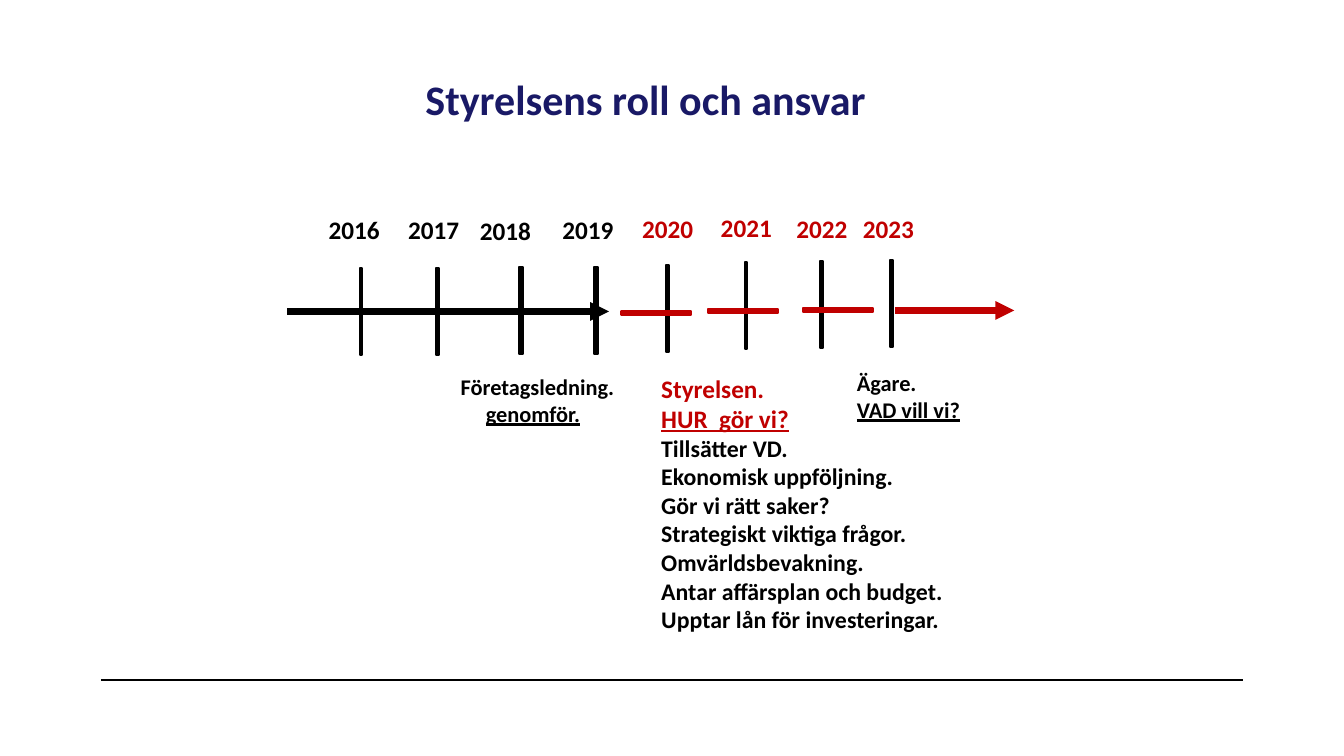
from dataclasses import dataclass

from lxml.etree import SubElement
from pptx import Presentation
from pptx.dml.color import RGBColor
from pptx.enum.shapes import MSO_CONNECTOR, MSO_SHAPE
from pptx.enum.text import MSO_ANCHOR, MSO_AUTO_SIZE, PP_ALIGN
from pptx.oxml.ns import qn
from pptx.util import Inches, Pt


@dataclass(frozen=True)
class Theme:
    font: str = "Calibri"
    navy: RGBColor = RGBColor(0x19, 0x19, 0x66)
    black: RGBColor = RGBColor(0, 0, 0)
    red: RGBColor = RGBColor(0xC0, 0, 0)
    title: float = 30
    heading: float = 18
    duty: float = 17
    role: float = 16
    thin: float = 1.5
    thick: float = 4.5


@dataclass(frozen=True)
class Box:
    left: float
    top: float
    width: float
    height: float

    def inside(self, left, top, width, height):
        return Box(self.left + left, self.top + top, width, height)

    def lengths(self):
        return [Inches(n) for n in (self.left, self.top, self.width, self.height)]


THEME = Theme()


def write(paragraph, text, size, color=THEME.black, underline=False, indent=0):
    if indent:
        paragraph._p.get_or_add_pPr().set("marL", str(Inches(indent)))
    paragraph.alignment = PP_ALIGN.LEFT
    run = paragraph.add_run()
    run.text = text
    font = run.font
    font.name, font.size, font.bold = THEME.font, Pt(size), True
    font.color.rgb = color
    font.underline = underline


def add_text(slide, box, lines):
    frame = slide.shapes.add_textbox(*box.lengths()).text_frame
    frame.word_wrap = True
    frame.auto_size = MSO_AUTO_SIZE.SHAPE_TO_FIT_TEXT
    for index, (text, style) in enumerate(lines):
        paragraph = frame.add_paragraph() if index else frame.paragraphs[0]
        write(paragraph, text, **style)


def add_rule(slide, left, top, width, color, weight, arrow=False):
    rule = slide.shapes.add_connector(
        MSO_CONNECTOR.STRAIGHT,
        Inches(left), Inches(top), Inches(left + width), Inches(top))
    rule.line.color.rgb = color
    rule.line.width = Pt(weight)
    if arrow:
        SubElement(rule.line._get_or_add_ln(), qn("a:tailEnd"), type="triangle")
    SubElement(rule._element.spPr, qn("a:effectLst"))


def add_bar(slide, box, color, rotation=0):
    bar = slide.shapes.add_shape(MSO_SHAPE.MATH_MINUS, *box.lengths())
    bar.shadow.inherit = False
    bar.rotation = rotation
    bar.fill.solid()
    bar.fill.fore_color.rgb = color
    bar.line.color.rgb = color
    bar.line.width = Pt(THEME.thin)


def add_title(slide, box):
    title = slide.shapes.title
    title.left, title.top, title.width, title.height = box.lengths()
    frame = title.text_frame
    frame.word_wrap = True
    frame.auto_size = MSO_AUTO_SIZE.NONE
    frame.vertical_anchor = MSO_ANCHOR.TOP
    write(frame.paragraphs[0], "Styrelsens roll och ansvar", THEME.title, THEME.navy)


def add_timeline(slide, box):
    years = [
        (2016, 0.31, 0.02, 0.73, 1.03, 0.11),
        (2017, 1.10, 0.02, 1.49, 1.03, 0.12),
        (2018, 1.81, 0.03, 2.32, 1.02, 0.16),
        (2019, 2.63, 0.02, 3.06, 1.02, 0.16),
        (2020, 3.42, 0.01, 3.77, 1.00, 0.11),
        (2021, 4.20, 0.00, 4.55, 0.97, 0.11),
        (2022, 4.95, 0.01, 5.30, 0.96, 0.11),
        (2023, 5.61, 0.01, 5.99, 0.95, 0.11),
    ]
    tick_length = 1.18
    add_rule(slide, box.left, box.top + 1.03, 3.19, THEME.black, THEME.thick, arrow=True)
    add_rule(slide, box.left + 6.03, box.top + 1.02, 1.18, THEME.red, THEME.thick, arrow=True)
    for year, label_left, label_top, tick_x, tick_y, thickness in years:
        tick = box.inside(tick_x - tick_length / 2, tick_y - thickness / 2,
                          tick_length, thickness)
        add_bar(slide, tick, THEME.black, rotation=270)
        color = THEME.black if year < 2020 else THEME.red
        add_text(slide, box.inside(label_left, label_top, 0.95, 0.4),
                 [(str(year), dict(size=THEME.heading, color=color))])
    for dash_left, dash_top in [(3.19, 0.96), (4.05, 0.94), (4.99, 0.93)]:
        add_bar(slide, box.inside(dash_left, dash_top, 0.94, 0.17), THEME.red)


def add_roles(slide, box):
    role = dict(size=THEME.role)
    board = dict(size=THEME.heading, color=THEME.red)
    duties = [
        "Tillsätter VD.",
        "Ekonomisk uppföljning.",
        "Gör vi rätt saker?",
        "Strategiskt viktiga frågor.",
        "Omvärldsbevakning.",
        "Antar affärsplan och budget.",
        "Upptar lån för investeringar.",
    ]
    add_text(slide, box.inside(0, 0.04, 1.93, 0.64), [
        ("Företagsledning.", role),
        ("genomför.", dict(role, underline=True, indent=0.25)),
    ])
    add_text(slide, box.inside(1.99, 0.04, 3.26, 2.71), [
        ("Styrelsen.", board),
        ("HUR  gör vi?", dict(board, underline=True)),
        *[(duty, dict(size=THEME.duty)) for duty in duties],
    ])
    add_text(slide, box.inside(3.93, 0, 2.2, 0.64), [
        ("Ägare.", role),
        ("VAD vill vi?", dict(role, underline=True)),
    ])


def main():
    deck = Presentation()
    deck.slide_width, deck.slide_height = Inches(13.33), Inches(7.5)
    slide = deck.slides.add_slide(deck.slide_layouts[5])
    add_rule(slide, 1, 6.75, 11.33, THEME.black, THEME.thin)
    add_title(slide, Box(4.12, 0.68, 6.25, 0.61))
    add_timeline(slide, Box(2.85, 2.06, 7.21, 1.62))
    add_roles(slide, Box(4.47, 3.61, 6.13, 2.75))
    deck.save("out.pptx")


if __name__ == "__main__":
    main()
